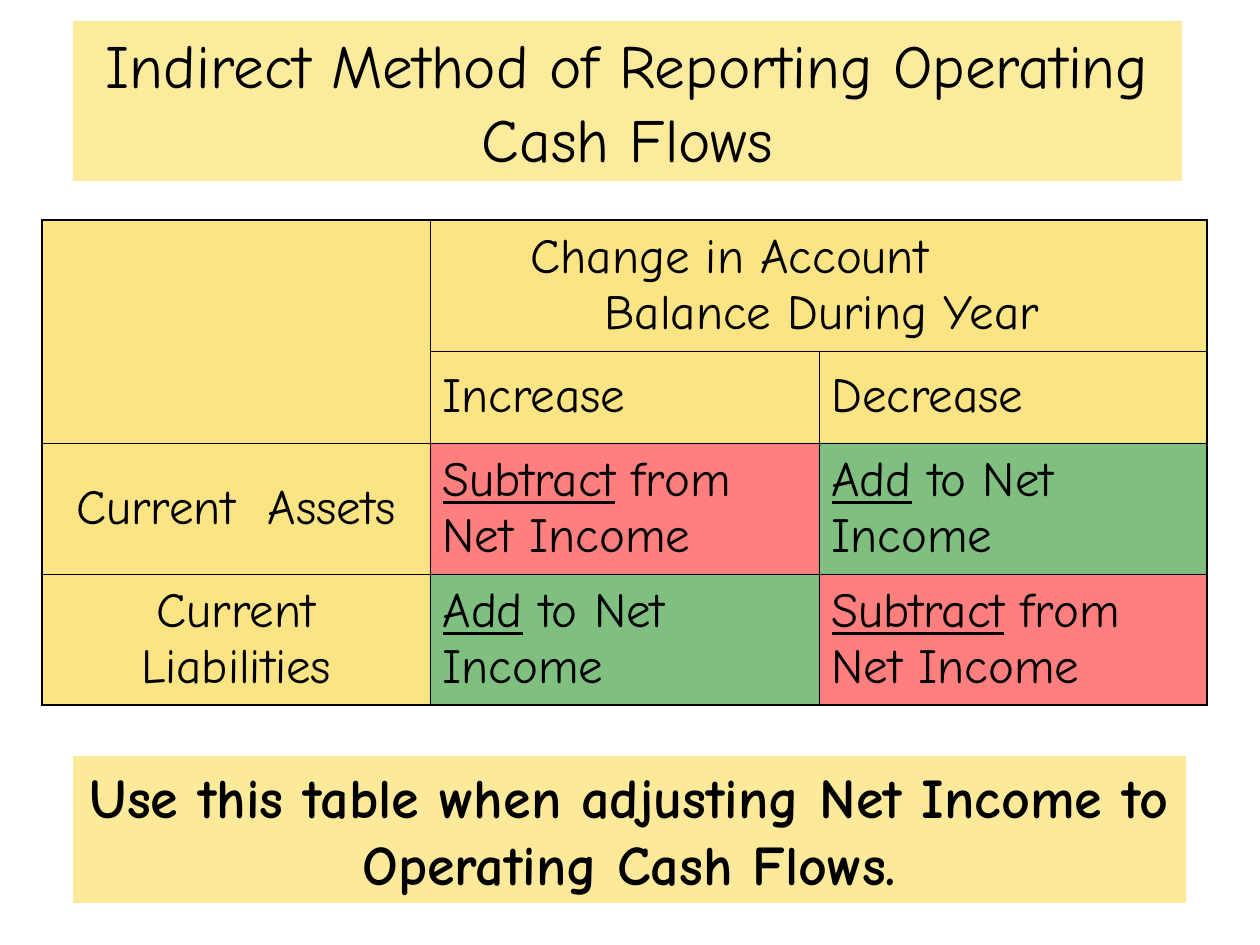
from dataclasses import dataclass

from lxml import etree
from pptx import Presentation
from pptx.dml.color import RGBColor
from pptx.enum.shapes import MSO_SHAPE
from pptx.enum.text import MSO_ANCHOR, PP_ALIGN
from pptx.oxml.ns import qn
from pptx.util import Pt

RECTANGLE = MSO_SHAPE.RECTANGLE
TOP, MIDDLE = MSO_ANCHOR.TOP, MSO_ANCHOR.MIDDLE
LEFT, CENTER = PP_ALIGN.LEFT, PP_ALIGN.CENTER
PX_PER_INCH = 126


@dataclass(frozen=True)
class Theme:
    font: str = "Comic Neue"
    ink: str = "000000"
    gold: str = "F8CB0A"
    red: str = "FF0000"
    green: str = "008000"
    title_size: int = 35
    table_size: int = 28
    note_size: int = 32
    outer_line: float = 1.08
    inner_line: float = 0.45


THEME = Theme()


def px(length):
    return round(length * 914400 / PX_PER_INCH)


def set_fill(fill, color, opacity):
    fill.solid()
    fill.fore_color.rgb = RGBColor.from_string(color)
    color_xml = fill._xPr.find(qn("a:solidFill"))[0]
    etree.SubElement(color_xml, qn("a:alpha"), val=str(opacity * 1000))


def add_run(paragraph, text, size, **formats):
    run = paragraph.add_run()
    run.text = text
    values = {"name": THEME.font, "size": Pt(size), **formats}
    for attribute, value in values.items():
        setattr(run.font, attribute, value)
    run.font.color.rgb = RGBColor.from_string(THEME.ink)


def add_banner(slide, box, text, size, anchor, opacity, bold=False):
    banner = slide.shapes.add_shape(RECTANGLE, *map(px, box))
    banner.shadow.inherit = False
    banner.line.fill.background()
    set_fill(banner.fill, THEME.gold, opacity)
    frame = banner.text_frame
    for attribute, value in {"word_wrap": True, "vertical_anchor": anchor}.items():
        setattr(frame, attribute, value)
    paragraph = frame.paragraphs[0]
    paragraph.alignment = CENTER
    add_run(paragraph, text, size, bold=bold)


def set_borders(cell, outer_sides):
    properties = cell._tc.get_or_add_tcPr()
    for side in "LRTB":
        width = THEME.outer_line if side in outer_sides else THEME.inner_line
        border = etree.SubElement(properties, qn(f"a:ln{side}"), w=str(Pt(width)))
        solid = etree.SubElement(border, qn("a:solidFill"))
        etree.SubElement(solid, qn("a:srgbClr"), val=THEME.ink)


def fill_cell(cell, color, outer_sides, alignment=LEFT, text="", action=""):
    set_borders(cell, outer_sides)
    set_fill(cell.fill, color, 50)
    cell.vertical_anchor = MIDDLE
    paragraph = cell.text_frame.paragraphs[0]
    paragraph.alignment = alignment
    if action:
        add_run(paragraph, action, THEME.table_size, underline=True)
    if text:
        add_run(paragraph, text, THEME.table_size)
    return paragraph


def add_adjustment_table(slide):
    column_widths, row_heights = (388, 389, 388), (131, 92, 131, 131)
    box = (42, 220, sum(column_widths), sum(row_heights))
    table = slide.shapes.add_table(4, 3, *map(px, box)).table
    for attribute in ("first_row", "horz_banding"):
        setattr(table, attribute, False)
    for column, width in zip(table.columns, column_widths):
        column.width = px(width)
    for row, height in zip(table.rows, row_heights):
        row.height = px(height)
    table.cell(0, 0).merge(table.cell(1, 0))
    table.cell(0, 1).merge(table.cell(0, 2))

    fill_cell(table.cell(0, 0), THEME.gold, "LT")
    heading = fill_cell(table.cell(0, 1), THEME.gold, "TR", text="Change in Account")
    heading.add_line_break()
    add_run(heading, "Balance During Year", THEME.table_size)
    indents = {"marL": px(162), "indent": px(-74)}
    for attribute, value in indents.items():
        heading._p.get_or_add_pPr().set(attribute, str(value))

    fill_cell(table.cell(1, 1), THEME.gold, "", text="Increase")
    fill_cell(table.cell(1, 2), THEME.gold, "R", text="Decrease")

    subtract = {"color": THEME.red, "action": "Subtract", "text": " from Net Income"}
    add = {"color": THEME.green, "action": "Add", "text": " to Net Income"}
    accounts = (
        ("Current  Assets", subtract, add, ""),
        ("Current Liabilities", add, subtract, "B"),
    )
    for row, (account, increase, decrease, bottom) in enumerate(accounts, start=2):
        fill_cell(table.cell(row, 0), THEME.gold, "L" + bottom, CENTER, account)
        fill_cell(table.cell(row, 1), outer_sides=bottom, **increase)
        fill_cell(table.cell(row, 2), outer_sides="R" + bottom, **decrease)


def main():
    presentation = Presentation()
    presentation.slide_width = px(1260)
    presentation.slide_height = px(945)
    slide = presentation.slides.add_slide(presentation.slide_layouts[6])
    add_banner(
        slide, (73, 756, 1113, 147),
        "Use this table when adjusting Net Income to Operating Cash Flows.",
        THEME.note_size, TOP, 41, bold=True,
    )
    add_banner(
        slide, (73, 21, 1109, 160),
        "Indirect Method of Reporting Operating Cash Flows",
        THEME.title_size, MIDDLE, 40,
    )
    add_adjustment_table(slide)
    presentation.save("out.pptx")


if __name__ == "__main__":
    main()
